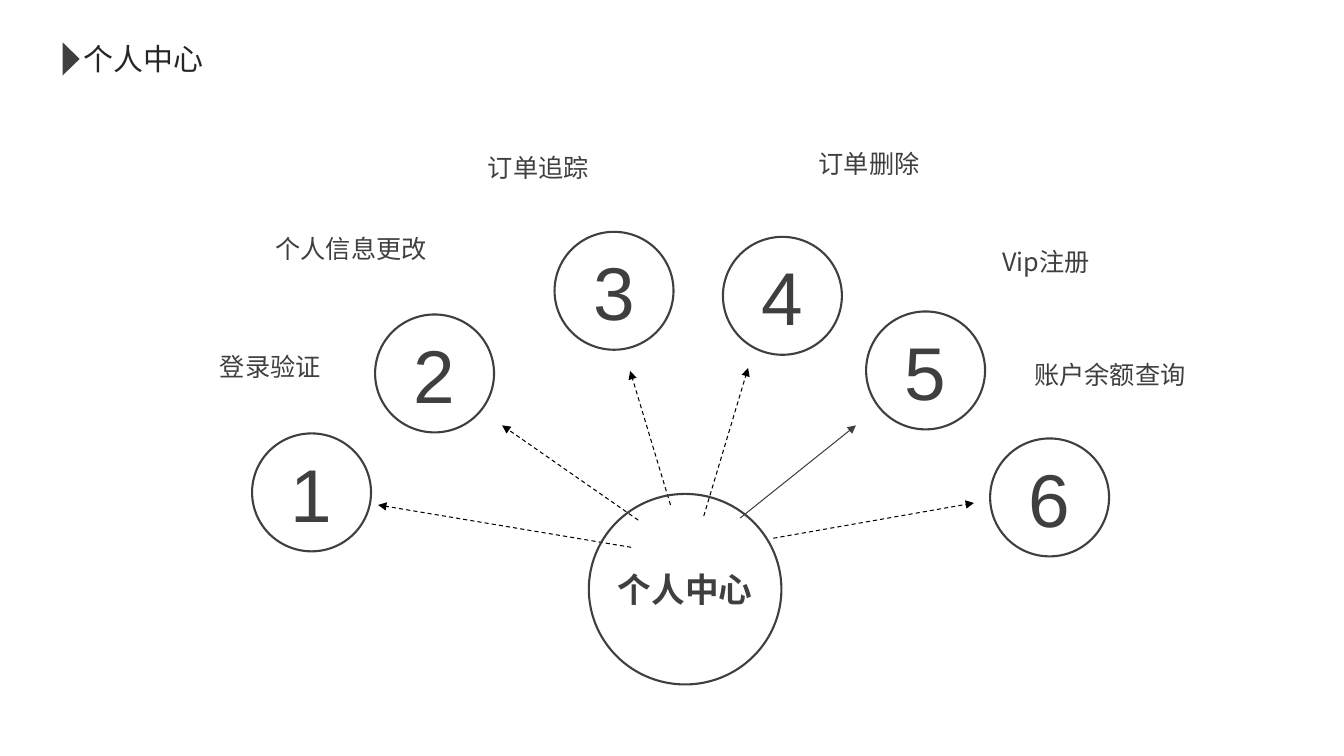
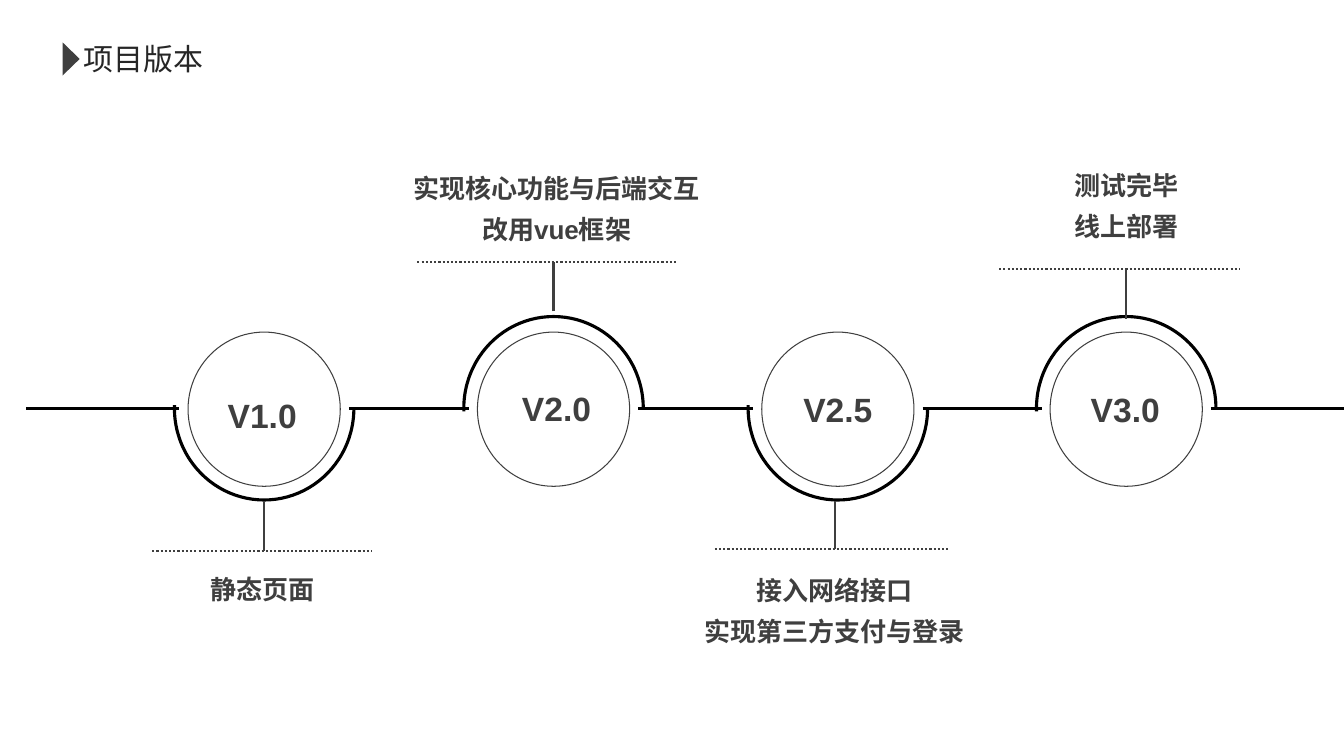
import pptx
import pptx.util
import pptx.dml.color
import pptx.enum.dml
import pptx.enum.shapes
import pptx.enum.text
import pptx.oxml
import pptx.oxml.ns

RGBColor = pptx.dml.color.RGBColor
SHAPE = pptx.enum.shapes.MSO_SHAPE
DASH = pptx.enum.dml.MSO_LINE
ALIGN = pptx.enum.text.PP_ALIGN
ANCHOR = pptx.enum.text.MSO_ANCHOR
Pt = pptx.util.Pt

# Shared look
BLACK = RGBColor(0x00, 0x00, 0x00)
GRAY = RGBColor(0x3F, 0x3F, 0x3F)
INK = RGBColor(0x26, 0x26, 0x26)
LATIN, CJK = "Arial", "Noto Sans CJK SC"
COLS, ROWS = 13.33, 7.5  # grid of one-inch cells
LEFT, CENTER, RIGHT = ALIGN.LEFT, ALIGN.CENTER, ALIGN.RIGHT

# Slide 1: number, circle corner, arrow from, arrow to, colour, dash
NODE_W, NODE_H = 1.18, 1.17
NODES = [
    ("1", (2.5, 4.3), (6.26, 5.43), (3.75, 5.01), BLACK, DASH.DASH),
    ("2", (3.72, 3.12), (6.33, 5.16), (4.98, 4.22), BLACK, DASH.DASH),
    ("3", (5.5, 2.3), (6.65, 5.01), (6.25, 3.68), BLACK, DASH.DASH),
    ("4", (7.17, 2.35), (6.98, 5.12), (7.42, 3.65), BLACK, DASH.DASH),
    ("5", (8.59, 3.09), (7.34, 5.14), (8.49, 4.22), GRAY, None),
    ("6", (9.82, 4.35), (7.67, 5.34), (9.66, 4.99), BLACK, DASH.DASH),
]
LABELS = [
    ("登录验证", 0.68, 3.44, RIGHT),
    ("个人信息更改", 1.73, 2.27, RIGHT),
    ("订单追踪", 4.04, 1.46, CENTER),
    ("订单删除", 7.32, 1.42, CENTER),
    ("Vip注册", 9.84, 2.39, LEFT),
    ("账户余额查询", 10.16, 3.52, LEFT),
]

# Slide 2: each milestone has its callout above or below the rail
RAIL_Y, RAIL_START = 4.05, 0.26
DISC_W, DISC_H = 1.51, 1.53
RING_W, RING_H, RING_GAP = 1.78, 1.82, 0.84
MILESTONES = [
    dict(name="V1.0", x=2.62, name_at=(2.6, 4.12), up=False, stem=(2.62, 4.97),
         bar=(1.51, 3.69, 5.47), text_at=(2.6, 5.55), lines=["静态页面"]),
    dict(name="V2.0", x=5.49, name_at=(5.52, 4.05), up=True, stem=(5.49, 3.09),
         bar=(4.14, 6.72, 2.6), text_at=(5.52, 1.57),
         lines=["实现核心功能与后端交互", "改用vue框架"]),
    dict(name="V2.5", x=8.31, name_at=(8.31, 4.06), up=False, stem=(8.28, 4.97),
         bar=(7.09, 9.41, 5.45), text_at=(8.28, 5.56),
         lines=["接入网络接口", "实现第三方支付与登录"]),
    dict(name="V3.0", x=11.17, name_at=(11.16, 4.06), up=True, stem=(11.17, 3.16),
         bar=(9.91, 12.29, 2.67), text_at=(11.17, 1.54),
         lines=["测试完毕", "线上部署"]),
]


def grid(*cells):
    return [pptx.util.Inches(c) for c in cells]


def write(tf, text, size=18, font=LATIN, color=GRAY, bold=False, align=LEFT,
          anchor=ANCHOR.TOP, wrap=True, spacing=None):
    """Fill a text frame, one paragraph per line of text."""
    tf.word_wrap = wrap
    tf.vertical_anchor = anchor
    for i, line in enumerate(text.split("\n")):
        p = tf.add_paragraph() if i else tf.paragraphs[0]
        p.alignment = align
        if spacing:
            p.line_spacing = spacing
        r = p.add_run()
        r.text = line
        r.font.size, r.font.bold, r.font.name = Pt(size), bold, font
        r.font.color.rgb = color
        ea = pptx.oxml.parse_xml(
            f'<a:ea {pptx.oxml.ns.nsdecls("a")} typeface="{CJK}"/>')
        r._r.get_or_add_rPr().append(ea)


def add_text(slide, box, text, **fmt):
    write(slide.shapes.add_textbox(*grid(*box)).text_frame, text, **fmt)


def add_shape(slide, kind, box, fill=None, line=None, width=1.5):
    sp = slide.shapes.add_shape(kind, *grid(*box))
    sp.shadow.inherit = False
    if fill is None:
        sp.fill.background()
    else:
        sp.fill.solid()
        sp.fill.fore_color.rgb = fill
    if line is None:
        sp.line.fill.background()
    else:
        sp.line.color.rgb = line
        sp.line.width = Pt(width)
    return sp


def add_line(slide, start, end, color=GRAY, width=1.5, dash=None, arrow=False):
    cn = slide.shapes.add_connector(
        pptx.enum.shapes.MSO_CONNECTOR.STRAIGHT, *grid(*start, *end))
    cn.line.color.rgb = color
    cn.line.width = Pt(width)
    if dash:
        cn.line.dash_style = dash
    ns = pptx.oxml.ns.nsdecls("a")
    if arrow:
        cn.line._get_or_add_ln().append(
            pptx.oxml.parse_xml(f'<a:tailEnd {ns} type="triangle"/>'))
    cn._element.spPr.append(pptx.oxml.parse_xml(f"<a:effectLst {ns}/>"))


def new_slide(prs, title):
    slide = prs.slides.add_slide(prs.slide_layouts[6])
    add_text(slide, (0.73, 0.35, 1.4, 0.46), title, size=21.4, font=CJK,
             color=INK, wrap=False)
    marker = add_shape(slide, SHAPE.ISOSCELES_TRIANGLE,
                       (0.54, 0.5, 0.33, 0.17), fill=GRAY)
    marker.rotation = 90
    return slide


def build_center(prs):
    slide = new_slide(prs, "个人中心")
    for number, corner, start, end, color, dash in NODES:
        add_line(slide, start, end, color, 0.75, dash, arrow=True)
        node = add_shape(slide, SHAPE.OVAL, (*corner, NODE_W, NODE_H), line=GRAY)
        write(node.text_frame, number, size=53.4, align=CENTER,
              anchor=ANCHOR.MIDDLE, wrap=False)
    for text, x, y, align in LABELS:
        add_text(slide, (x, y, 2.6, 0.4), text, font=CJK, align=align)
    hub = add_shape(slide, SHAPE.OVAL, (5.84, 4.9, 1.91, 1.89), line=GRAY)
    write(hub.text_frame, "个人中心", size=24, bold=True, align=CENTER,
          anchor=ANCHOR.MIDDLE, wrap=False)


def build_versions(prs):
    slide = new_slide(prs, "项目版本")

    # Rail segments between the rings
    xs = [m["x"] for m in MILESTONES]
    starts = [RAIL_START] + [x + RING_GAP for x in xs]
    ends = [x - RING_GAP for x in xs] + [COLS]
    for start, end in zip(starts, ends):
        add_line(slide, (start, RAIL_Y), (end, RAIL_Y), BLACK, 2.25)

    for m in MILESTONES:
        x = m["x"]
        # Half ring and disc
        ring = add_shape(slide, SHAPE.ARC,
                         (x - RING_W / 2, RAIL_Y - RING_H / 2, RING_W, RING_H),
                         line=BLACK, width=2.25)
        # Arc angles are in 0.6 degree units
        first, last = (178, 0) if m["up"] else (0, 182)
        ring.adjustments[0], ring.adjustments[1] = first * 0.6, last * 0.6
        add_shape(slide, SHAPE.OVAL,
                  (x - DISC_W / 2, RAIL_Y - DISC_H / 2 + 0.01, DISC_W, DISC_H),
                  line=GRAY, width=0.75)
        name_x, name_y = m["name_at"]
        add_text(slide, (name_x - 0.76, name_y - 0.25, 1.52, 0.5), m["name"],
                 size=24, bold=True, align=CENTER)
        # Callout: stem, dotted bar and text
        left, right, bar_y = m["bar"]
        add_line(slide, m["stem"], (m["stem"][0], bar_y))
        add_line(slide, (left, bar_y), (right, bar_y), dash=DASH.ROUND_DOT)
        text_x, text_y = m["text_at"]
        add_text(slide, (text_x - 1.59, text_y, 3.18, 0.46 * len(m["lines"])),
                 "\n".join(m["lines"]), size=18.6, bold=True, align=CENTER,
                 spacing=1.3)


def main():
    prs = pptx.Presentation()
    prs.slide_width, prs.slide_height = grid(COLS, ROWS)
    build_center(prs)
    build_versions(prs)
    prs.save("out.pptx")


if __name__ == "__main__":
    main()
